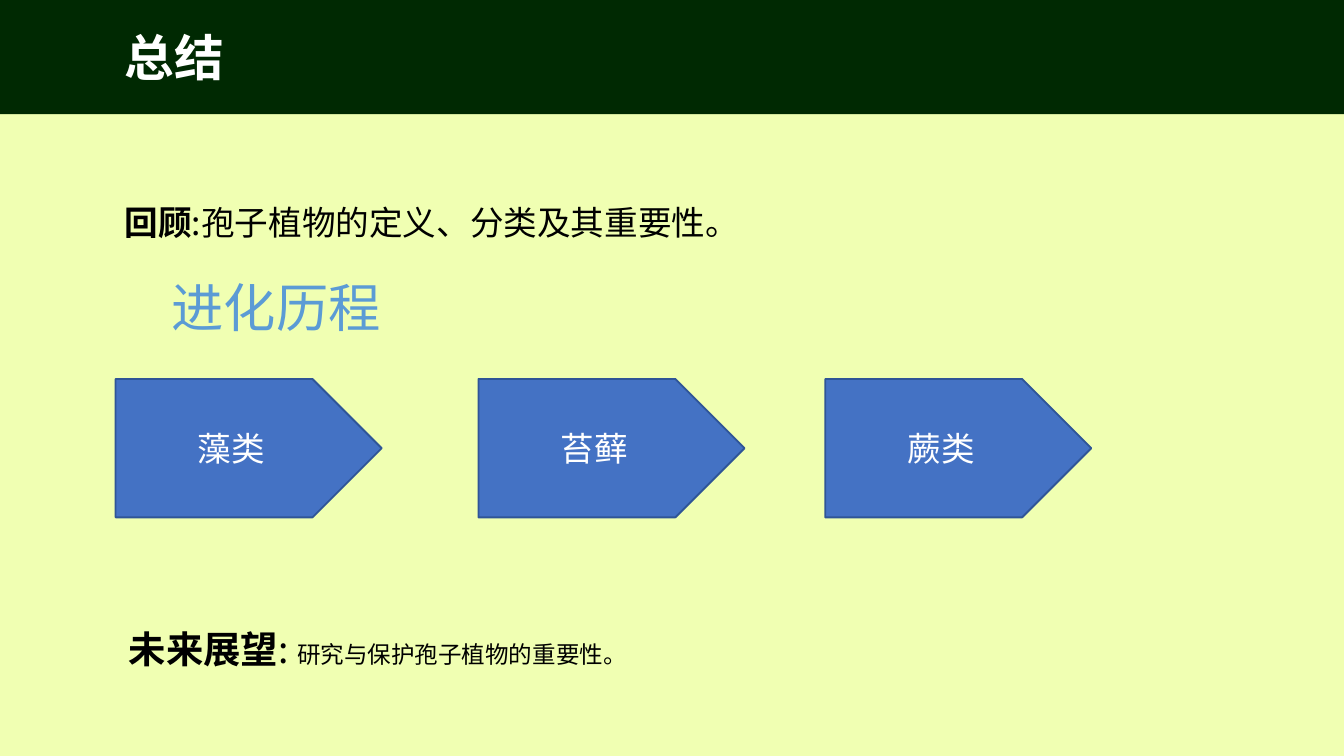
from pptx import Presentation
from pptx.dml.color import RGBColor
from pptx.enum.shapes import MSO_SHAPE
from pptx.enum.text import MSO_ANCHOR, MSO_AUTO_SIZE, PP_ALIGN
from pptx.oxml.ns import qn
from pptx.util import Inches, Pt

RECT, ARROW = MSO_SHAPE.RECTANGLE, MSO_SHAPE.PENTAGON
MIDDLE, TOP = MSO_ANCHOR.MIDDLE, MSO_ANCHOR.TOP
CENTER = PP_ALIGN.CENTER
GROW = MSO_AUTO_SIZE.SHAPE_TO_FIT_TEXT

LIME = RGBColor(0xF0, 0xFF, 0xB2)
FOREST = RGBColor(0x00, 0x29, 0x02)
WHITE = RGBColor(0xFF, 0xFF, 0xFF)
BLACK = RGBColor(0x00, 0x00, 0x00)
SKY = RGBColor(0x5B, 0x9B, 0xD5)
BLUE = RGBColor(0x44, 0x72, 0xC4)
NAVY = RGBColor(0x2F, 0x55, 0x97)
NOTO, LATIN = "Noto Sans CJK SC", "Calibri"

WIDE = 10
HIGH = WIDE * 9 / 16
BAND = 0.85
STEP_TOP, STEP_W, STEP_H = 2.82, 1.98, 1.03

TITLE = [("总结", 26.6, True)]
OUTLOOK = [("未来展望", 20, True), (": ", 20, False),
           ("研究与保护孢子植物的重要性。", 12.6, False)]
REVIEW = [("回顾", 18, True), (":孢子植物的定义、分类及其重要性。", 18, False)]
HEADING = [("进化历程", 28, False)]
TEXTS = [
    (TITLE, (0.83, 0.12, 8.54, 0.6), NOTO, WHITE, 1, MIDDLE),
    (OUTLOOK, (0.86, 4.33, 8.06, 0.82), NOTO, BLACK, 1.5, MIDDLE),
    (REVIEW, (0.83, 1.23, 6.22, 0.69), NOTO, BLACK, 1.5, MIDDLE),
    (HEADING, (1.18, 2, 2.12, 0.57), LATIN, SKY, 1, TOP),
]
STEPS = [("藻类", 0.86), ("苔藓", 3.56), ("蕨类", 6.14)]


def write(frame, runs, face, color, anchor):
    """Fill a text frame with one paragraph of styled runs."""
    frame.word_wrap = True
    frame.vertical_anchor = anchor
    para = frame.paragraphs[0]
    for text, size, bold in runs:
        run = para.add_run()
        run.text = text
        font = run.font
        font.name, font.size, font.bold = face, Pt(size), bold
        font.color.rgb = color
        if face == NOTO:
            east = font._element.makeelement(qn("a:ea"), {"typeface": face})
            font._element.find(qn("a:latin")).addnext(east)
    return para


def block(slide, kind, box, fill):
    """Add a flat filled shape without outline."""
    shape = slide.shapes.add_shape(kind, *map(Inches, box))
    shape.shadow.inherit = False
    shape.fill.solid()
    shape.fill.fore_color.rgb = fill
    shape.line.fill.background()
    return shape


def main():
    """Build the summary slide."""
    deck = Presentation()
    deck.slide_width, deck.slide_height = Inches(WIDE), Inches(HIGH)
    slide = deck.slides.add_slide(deck.slide_layouts[6])
    slide.background.fill.solid()
    slide.background.fill.fore_color.rgb = LIME
    block(slide, RECT, (0, 0, WIDE, BAND), FOREST)

    for runs, box, face, color, space, anchor in TEXTS:
        frame = slide.shapes.add_textbox(*map(Inches, box)).text_frame
        write(frame, runs, face, color, anchor).line_spacing = space
        if runs is HEADING:
            frame.auto_size = GROW

    for name, left in STEPS:
        step = block(slide, ARROW, (left, STEP_TOP, STEP_W, STEP_H), BLUE)
        step.line.color.rgb = NAVY
        step.line.width = Pt(1)
        para = write(step.text_frame, [(name, 18, False)], LATIN, WHITE, MIDDLE)
        para.alignment = CENTER

    deck.save("out.pptx")


if __name__ == "__main__":
    main()
